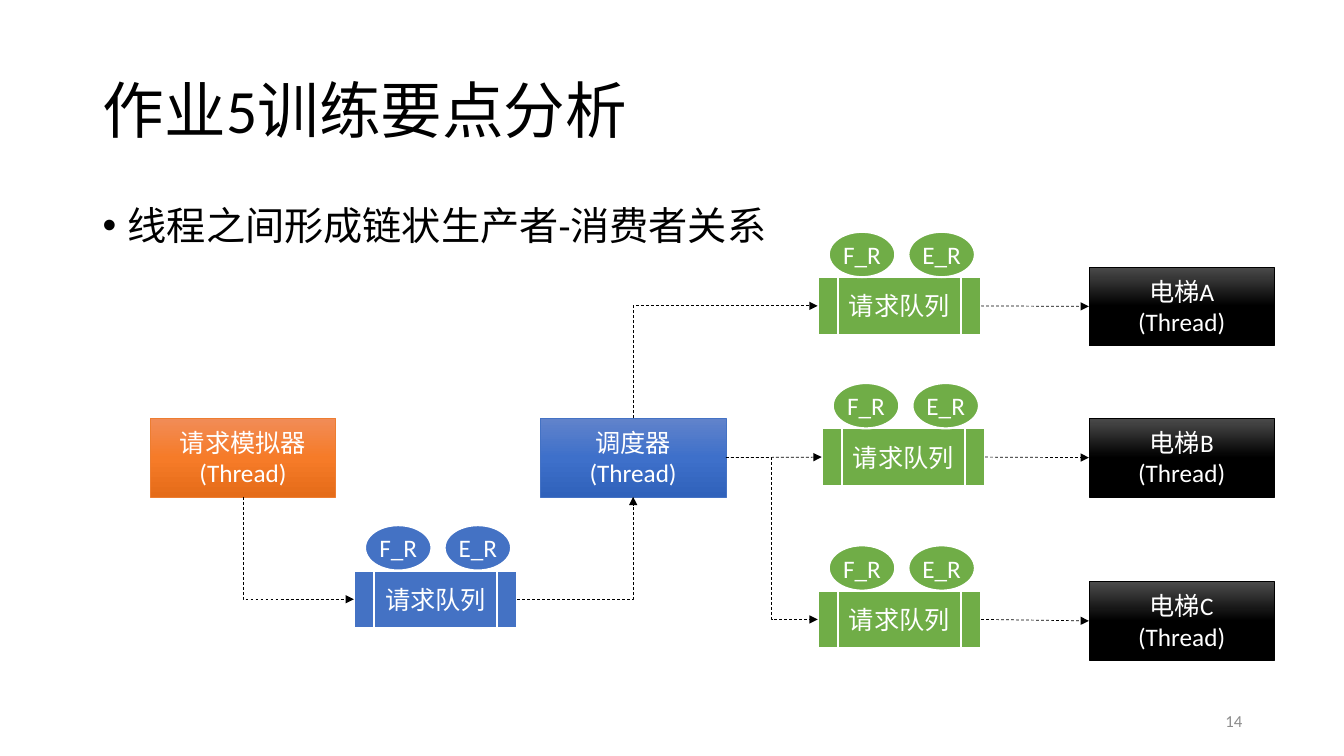
from lxml.etree import SubElement
from pptx import Presentation
from pptx.dml.color import RGBColor
from pptx.enum.dml import MSO_LINE
from pptx.enum.shapes import MSO_CONNECTOR as CONNECTOR, MSO_SHAPE as SHAPE
from pptx.enum.text import MSO_ANCHOR as ANCHOR, MSO_AUTO_SIZE as AUTO_SIZE, PP_ALIGN as ALIGN
from pptx.oxml.ns import qn
from pptx.util import Inches, Pt

FONT = "Calibri"
BLACK, WHITE, BLUE, GREEN, ORANGE = "000000", "FFFFFF", "4472C4", "70AD47", "ED7D31"
BLUE_GRADIENT = ("6183CB", "3E70CA", "3062BB")
ORANGE_GRADIENT = ("F18C57", "F67B28", "E56C19")
BLACK_GRADIENT = ("4B4B4B", BLACK, BLACK)
TOP, LEFT, BOTTOM, RIGHT = range(4)
ELEVATORS = (("A", 2.65, 8.11, 2.75), ("B", 4.15, 8.15, 4.25), ("C", 5.77, 8.11, 5.86))


def color(value):
    return RGBColor.from_string(value)


def write(shape, lines, size, text_color, align, anchor=ANCHOR.MIDDLE):
    frame = shape.text_frame
    frame.auto_size = AUTO_SIZE.NONE
    frame.word_wrap = True
    frame.vertical_anchor = anchor
    for index, line in enumerate(lines):
        paragraph = frame.add_paragraph() if index else frame.paragraphs[0]
        paragraph.alignment = align
        run = paragraph.add_run()
        run.text = line
        run.font.name = FONT
        run.font.size = Pt(size)
        run.font.color.rgb = color(text_color)
    return frame


def place(shape, left, top, width, height):
    shape.left, shape.top = Inches(left), Inches(top)
    shape.width, shape.height = Inches(width), Inches(height)


def add_text(slide, left, top, width, height, text, size, text_color, align, anchor):
    box = slide.shapes.add_textbox(Inches(left), Inches(top), Inches(width), Inches(height))
    return write(box, [text], size, text_color, align, anchor)


def add_bullet(slide, text):
    frame = add_text(slide, 0.92, 2, 11.5, 1.03, text, 28, BLACK, ALIGN.LEFT, ANCHOR.TOP)
    paragraph = frame.paragraphs[0]
    paragraph.line_spacing = 0.9
    paragraph.space_before = Pt(10)
    properties = paragraph._p.get_or_add_pPr()
    properties.set("marL", str(Inches(0.25)))
    properties.set("indent", str(-Inches(0.25)))
    SubElement(properties, qn("a:buFont"), typeface="Arial")
    SubElement(properties, qn("a:buChar"), char="•")


def add_box(slide, kind, left, top, width, height, lines, line_color, line_width):
    shape = slide.shapes.add_shape(
        kind, Inches(left), Inches(top), Inches(width), Inches(height))
    shape.shadow.inherit = False
    shape.line.color.rgb = color(line_color)
    shape.line.width = Pt(line_width)
    write(shape, lines, 18, WHITE, ALIGN.CENTER)
    return shape


def add_thread(slide, left, top, name, gradient, line_color):
    shape = add_box(slide, SHAPE.RECTANGLE, left, top, 1.84, 0.78,
                    [name, "(Thread)"], line_color, 0.5)
    shape.fill.gradient()
    shape.fill.gradient_angle = 270
    stops = shape._element.spPr.find(qn("a:gradFill")).find(qn("a:gsLst"))
    for stop in list(stops):
        stops.remove(stop)
    for index, value in enumerate(gradient):
        stop = SubElement(stops, qn("a:gs"), pos=str(index * 50000))
        SubElement(stop, qn("a:srgbClr"), val=value)
    return shape


def add_queue(slide, left, top, fill_color):
    queue = add_box(slide, SHAPE.FLOWCHART_PREDEFINED_PROCESS, left, top, 1.62, 0.57,
                    ["请求队列"], WHITE, 1.5)
    requests = [
        add_box(slide, SHAPE.OVAL, left + offset, top - 0.45, 0.66, 0.45, [name], WHITE, 1.5)
        for name, offset in (("F_R", 0.11), ("E_R", 0.9))]
    for request in requests:
        frame = request.text_frame
        frame.margin_left = frame.margin_right = Inches(0.04)
        frame.word_wrap = False
    for shape in (queue, *requests):
        shape.fill.solid()
        shape.fill.fore_color.rgb = color(fill_color)
    return queue


def add_arrow(slide, source, source_side, target, target_side, kind=CONNECTOR.STRAIGHT):
    arrow = slide.shapes.add_connector(kind, 0, 0, 0, 0)
    arrow.begin_connect(source, source_side)
    arrow.end_connect(target, target_side)
    arrow.line.color.rgb = color(BLACK)
    arrow.line.width = Pt(0.5)
    arrow.line.dash_style = MSO_LINE.DASH
    SubElement(arrow.line._get_or_add_ln(), qn("a:tailEnd"), type="triangle")
    SubElement(arrow._element.spPr, qn("a:effectLst"))
    return arrow


def add_corner_arrow(slide, source, source_side, target, target_side):
    arrow = add_arrow(slide, source, source_side, target, target_side, CONNECTOR.ELBOW)
    properties = arrow._element.spPr
    properties.find(qn("a:prstGeom")).set("prst", "bentConnector2")
    if source_side in (TOP, BOTTOM):
        rising = source_side == TOP
        width, height = arrow.width, arrow.height
        arrow.left += (width - height) // 2
        arrow.top += (height - width) // 2
        arrow.width, arrow.height = height, width
        frame = properties.find(qn("a:xfrm"))
        frame.set("rot", str((90 if rising else 270) * 60000))
        frame.set("flipH", "1")
        frame.set("flipV", "1" if rising else "0")


def main():
    presentation = Presentation()
    presentation.slide_width, presentation.slide_height = Inches(13.33), Inches(7.5)
    slide = presentation.slides.add_slide(presentation.slide_layouts[5])

    title = slide.shapes.title
    place(title, 0.92, 0.4, 11.5, 1.45)
    write(title, ["作业5训练要点分析"], 44, BLACK, ALIGN.LEFT).paragraphs[0].line_spacing = 0.9
    add_bullet(slide, "线程之间形成链状生产者-消费者关系")

    scheduler = add_thread(slide, 5.36, 4.15, "调度器", BLUE_GRADIENT, BLUE)
    simulator = add_thread(slide, 1.49, 4.15, "请求模拟器", ORANGE_GRADIENT, ORANGE)
    input_queue = add_queue(slide, 3.51, 5.66, BLUE)
    add_corner_arrow(slide, simulator, BOTTOM, input_queue, LEFT)
    add_corner_arrow(slide, input_queue, RIGHT, scheduler, BOTTOM)

    queues = []
    for letter, thread_top, queue_left, queue_top in ELEVATORS:
        elevator = add_thread(slide, 10.8, thread_top, "电梯" + letter, BLACK_GRADIENT, BLACK)
        queue = add_queue(slide, queue_left, queue_top, GREEN)
        add_arrow(slide, queue, RIGHT, elevator, LEFT)
        queues.append(queue)

    upper, middle, lower = queues
    add_corner_arrow(slide, scheduler, TOP, upper, LEFT)
    add_arrow(slide, scheduler, RIGHT, middle, LEFT)
    add_arrow(slide, scheduler, RIGHT, lower, LEFT, CONNECTOR.ELBOW)

    add_text(slide, 9.42, 6.95, 3, 0.4, "14", 12, "8C8C8C", ALIGN.RIGHT, ANCHOR.MIDDLE)
    presentation.save("out.pptx")


if __name__ == "__main__":
    main()
